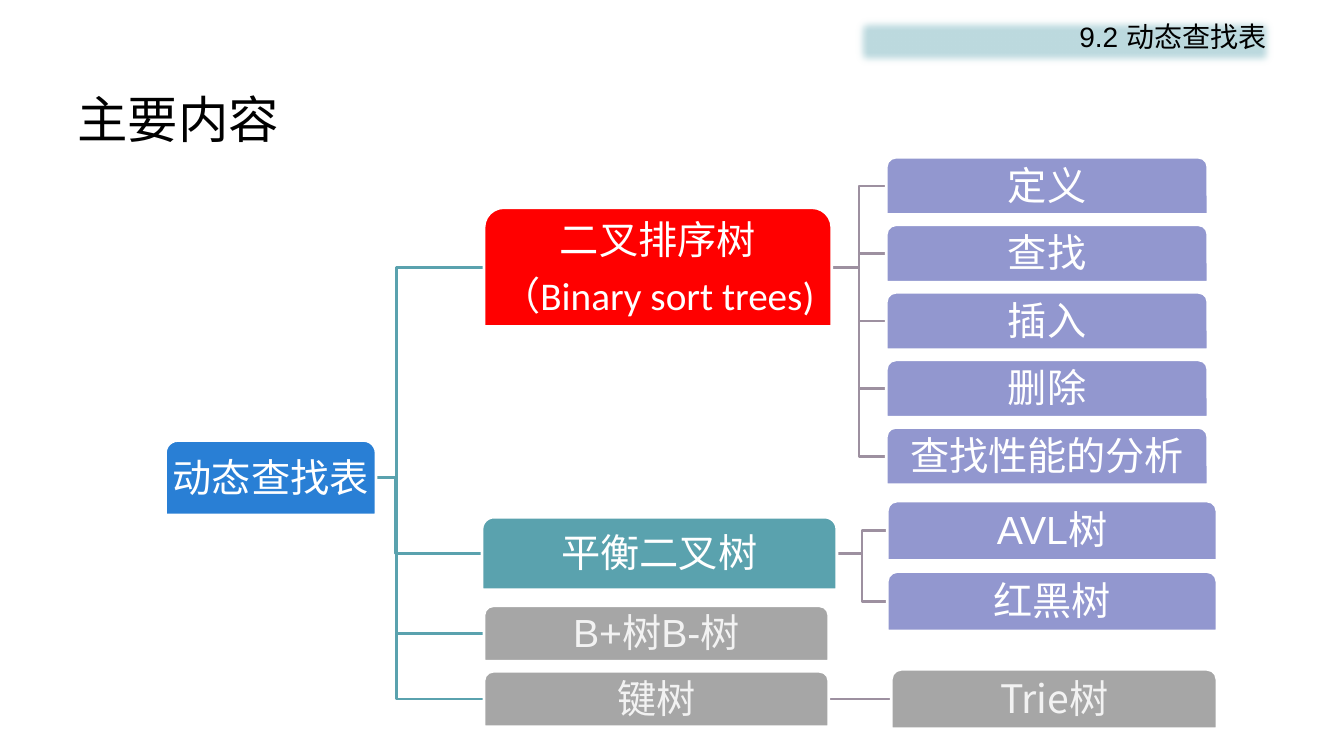
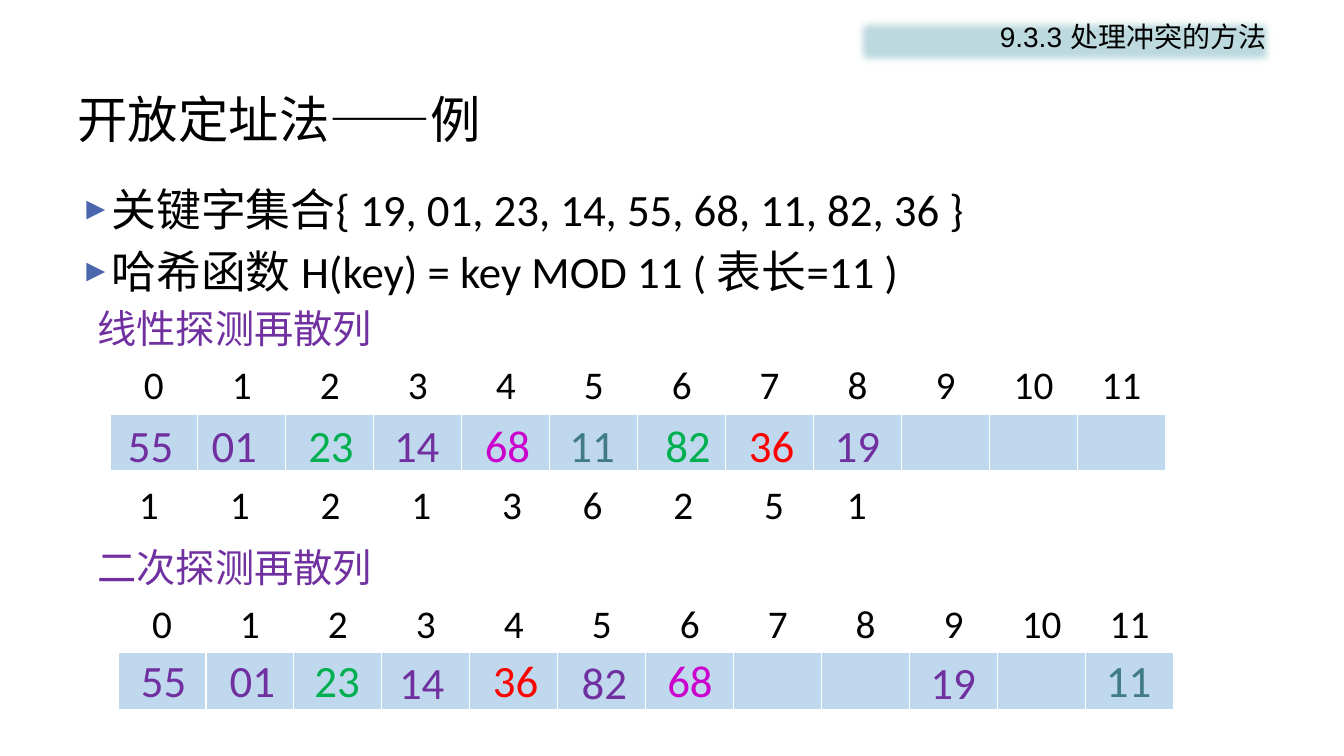
from dataclasses import dataclass
from lxml.etree import SubElement as Sub
from pptx import Presentation as Deck
from pptx.dml.color import RGBColor as Rgb
from pptx.enum.shapes import MSO_CONNECTOR as Line, MSO_SHAPE as Shape
from pptx.enum.text import MSO_ANCHOR as Anchor, PP_ALIGN as Align
from pptx.oxml.ns import qn
from pptx.util import Inches, Pt


@dataclass(frozen=True)
class Theme:
    black: str = "000000"
    white: str = "FFFFFF"
    blue: str = "297FD5"
    teal: str = "5AA2AE"
    lilac: str = "9297CF"
    mauve: str = "9D90A0"
    gray: str = "A6A6A6"
    pale: str = "F2F2F2"
    band: str = "BDDADF"
    cell: str = "C0D8ED"
    mark: str = "4A66AC"
    plum: str = "7030A0"
    green: str = "00B050"
    pink: str = "CC00CC"
    deep: str = "417B85"
    red: str = "FF0000"
    title: int = 36
    body: int = 32
    label: int = 28
    head: int = 20
    cjk: str = "Noto Sans CJK SC"
    sans: str = "Arial"
    text: str = "Calibri"


T = Theme()


class Maker:
    def __init__(self, deck):
        self.deck = deck
        self.slide = None

    def start(self, title, head):
        """Add a slide with the shared title and header band."""
        self.slide = self.deck.slides.add_slide(self.deck.slide_layouts[6])
        frame = self.box(0.67, 0.8, 12, 0.75)
        frame.vertical_anchor = Anchor.MIDDLE
        self.run(frame.paragraphs[0], title, T.title, T.black, T.cjk)
        self.band(head)

    def run(self, para, text, size, color, font):
        run = para.add_run()
        run.text = text
        run.font.size = Pt(size)
        run.font.name = font
        run.font.color.rgb = Rgb.from_string(color)
        Sub(run.font._element, qn("a:ea"), typeface=T.cjk)

    def box(self, x, y, w, h, wrap=True):
        frame = self.slide.shapes.add_textbox(*map(Inches, (x, y, w, h))).text_frame
        frame.word_wrap = wrap
        return frame

    def shape(self, kind, spot, fill):
        item = self.slide.shapes.add_shape(kind, *map(Inches, spot))
        item.shadow.inherit = False
        item.fill.solid()
        item.fill.fore_color.rgb = Rgb.from_string(fill)
        return item

    def band(self, text):
        item = self.shape(Shape.RECTANGLE, (8.46, 0.14, 4.2, 0.54), T.band)
        item.line.fill.background()
        glow = item._element.spPr.find(qn("a:effectLst"))
        Sub(glow, qn("a:softEdge"), rad=str(Pt(6.5)))
        frame = item.text_frame
        frame.vertical_anchor = Anchor.TOP
        para = frame.paragraphs[0]
        para.alignment = Align.RIGHT
        self.run(para, text, T.head, T.black, T.sans)

    def node(self, spot, fill, lines, color=T.white):
        """Draw a tree node; each line is a list of (text, font) runs."""
        item = self.shape(Shape.ROUND_2_SAME_RECTANGLE, spot, fill)
        item.line.color.rgb = Rgb.from_string(T.white)
        item.line.width = Pt(2)
        frame = item.text_frame
        frame.word_wrap = False
        frame.vertical_anchor = Anchor.MIDDLE
        frame.margin_left = frame.margin_right = Inches(0.02)
        frame.margin_top = frame.margin_bottom = Inches(0.02)
        for i, line in enumerate(lines):
            para = frame.add_paragraph() if i else frame.paragraphs[0]
            para.alignment = Align.CENTER
            para.line_spacing = 0.9
            if i:
                para.space_before = Pt(9.8)
            for text, font in line:
                self.run(para, text, T.label, color, font)

    def link(self, x, y, kid, color):
        """Join a point to the left side of a node, bending half way."""
        end, mid = kid[0], round(kid[1] + kid[3] / 2, 3)
        if mid == round(y, 3):
            item = self.slide.shapes.add_connector(
                Line.STRAIGHT, *map(Inches, (x, y, end, y)))
            Sub(item._element.spPr, qn("a:effectLst"))
        else:
            bend = (x + end) / 2
            pen = self.slide.shapes.build_freeform(Inches(x), Inches(y))
            pen.add_line_segments(
                [(Inches(a), Inches(b))
                 for a, b in ((bend, y), (bend, mid), (end, mid))], close=False)
            item = pen.convert_to_shape()
            item.shadow.inherit = False
            item.fill.background()
        item.line.color.rgb = Rgb.from_string(color)
        item.line.width = Pt(2)

    def points(self, lines):
        frame = self.box(0.7, 1.75, 12, 1.32)
        for i, text in enumerate(lines):
            para = frame.add_paragraph() if i else frame.paragraphs[0]
            props = para._p.get_or_add_pPr()
            props.set("marL", str(Inches(0.28)))
            props.set("indent", str(-Inches(0.28)))
            tint = Sub(props, qn("a:buClr"))
            Sub(tint, qn("a:srgbClr"), val=T.mark)
            Sub(props, qn("a:buSzPct"), val="70000")
            Sub(props, qn("a:buFont"), typeface=T.sans)
            Sub(props, qn("a:buChar"), char="►")
            if i:
                para.space_before = Pt(6.4)
            self.run(para, text, T.body, T.black, T.text)

    def label(self, y, text):
        frame = self.box(0.87, y, 2.95, 0.57, wrap=False)
        self.run(frame.paragraphs[0], text, T.label, T.plum, T.sans)

    def counts(self, x, y, vals, stops):
        para = self.box(x, y, 8, 0.57).paragraphs[0]
        tabs = Sub(para._p.get_or_add_pPr(), qn("a:tabLst"))
        for stop in stops:
            Sub(tabs, qn("a:tab"), pos=str(Inches(stop)), algn="ctr")
        self.run(para, "\t".join(vals), T.label, T.black, T.text)

    def table(self, x, y, size=12):
        """Draw slot numbers above a row of empty slots."""
        grid = self.slide.shapes.add_table(
            2, size, *map(Inches, (x, y, 10.47, 1.13))).table
        grid.first_row = grid.horz_banding = False
        for col in range(size):
            head, slot = grid.cell(0, col), grid.cell(1, col)
            head.fill.background()
            slot.fill.solid()
            slot.fill.fore_color.rgb = Rgb.from_string(T.cell)
            head.vertical_anchor = Anchor.MIDDLE
            para = head.text_frame.paragraphs[0]
            para.alignment = Align.CENTER
            self.run(para, str(col), T.label, T.black, T.text)
            self.edge(head)
            self.edge(slot)

    def edge(self, cell):
        props = cell._tc.get_or_add_tcPr()
        for i, side in enumerate(("lnL", "lnR", "lnT", "lnB")):
            edge = Sub(props, qn("a:" + side), w=str(Pt(1)))
            Sub(Sub(edge, qn("a:solidFill")), qn("a:srgbClr"), val=T.white)
            props.insert(i, edge)

    def keys(self, items):
        """Place the stored keys over the slots."""
        for x, y, text, color in items:
            frame = self.box(x, y, 0.66, 0.64, wrap=False)
            self.run(frame.paragraphs[0], text, T.body, color, T.text)


def tree(make):
    make.start("主要内容", "9.2 动态查找表")
    # Places of the nodes
    root = (1.64, 4.37, 2.09, 0.74)
    sort = (4.8, 2.06, 3.45, 1.18)
    even = (4.78, 5.13, 3.52, 0.72)
    multi, digit = [(4.8, y, 3.42, 0.55) for y in (6.01, 6.66)]
    tasks = [(8.79, 1.56 + 0.67 * i, 3.19, 0.57) for i in range(5)]
    kinds = [(8.8, 4.97 + 0.7 * i, 3.27, 0.59) for i in range(2)]
    trie = (8.84, 6.64, 3.23, 0.59)
    # Links lie behind the nodes; those of the root start inside it
    for kid in (sort, even, multi, digit):
        make.link(3.06, root[1] + root[3] / 2, kid, T.teal)
    for top, kids in ((sort, tasks), (even, kinds), (digit, [trie])):
        for kid in kids:
            make.link(top[0] + top[2], top[1] + top[3] / 2, kid, T.mauve)
    # Nodes
    make.node(root, T.blue, [[("动态查找表", T.sans)]])
    make.node(sort, T.red, [[("二叉排序树", T.sans)],
                            [("（", T.sans), ("Binary sort trees)", T.text)]])
    make.node(even, T.teal, [[("平衡二叉树", T.sans)]])
    names = ("定义", "查找", "插入", "删除", "查找性能的分析", "AVL树", "红黑树")
    for spot, name in zip(tasks + kinds, names):
        make.node(spot, T.lilac, [[(name, T.sans)]])
    for spot, name, font in ((multi, "B+树B-树", T.sans),
                             (digit, "键树", T.cjk), (trie, "Trie树", T.cjk)):
        make.node(spot, T.gray, [[(name, font)]], T.pale)


def hashing(make):
    make.start("开放定址法——例", "9.3.3 处理冲突的方法")
    make.points(["关键字集合{ 19, 01, 23, 14, 55, 68, 11, 82, 36 }",
                 "哈希函数 H(key) = key MOD 11 ( 表长=11 )"])
    # Linear probing
    make.label(2.97, "线性探测再散列")
    make.table(1.09, 3.54)
    row = 4.09
    make.keys([(1.17, row, "55", T.plum), (2, row, "01", T.plum),
               (2.96, row, "23", T.green), (3.81, row, "14", T.plum),
               (4.71, row, "68", T.pink), (5.55, row, "11", T.deep),
               (6.5, row, "82", T.green), (7.33, row, "36", T.red),
               (8.18, row, "19", T.plum)])
    make.counts(1.28, 4.72, "112136251",
                (1, 1.9, 2.8, 3.7, 4.5, 5.4, 6.3, 7.12))
    # Quadratic probing
    make.label(5.34, "二次探测再散列")
    make.table(1.17, 5.91)
    row, low = 6.43, 6.45
    make.keys([(1.3, row, "55", T.plum), (2.18, row, "01", T.plum),
               (3.02, row, "23", T.green), (3.86, low, "14", T.plum),
               (4.79, row, "36", T.red), (5.67, low, "82", T.plum),
               (6.52, row, "68", T.pink), (9.13, low, "19", T.plum),
               (10.87, row, "11", T.deep)])


def main():
    deck = Deck()
    deck.slide_width, deck.slide_height = Inches(13.33), Inches(7.5)
    make = Maker(deck)
    tree(make)
    hashing(make)
    deck.save("out.pptx")


if __name__ == "__main__":
    main()
